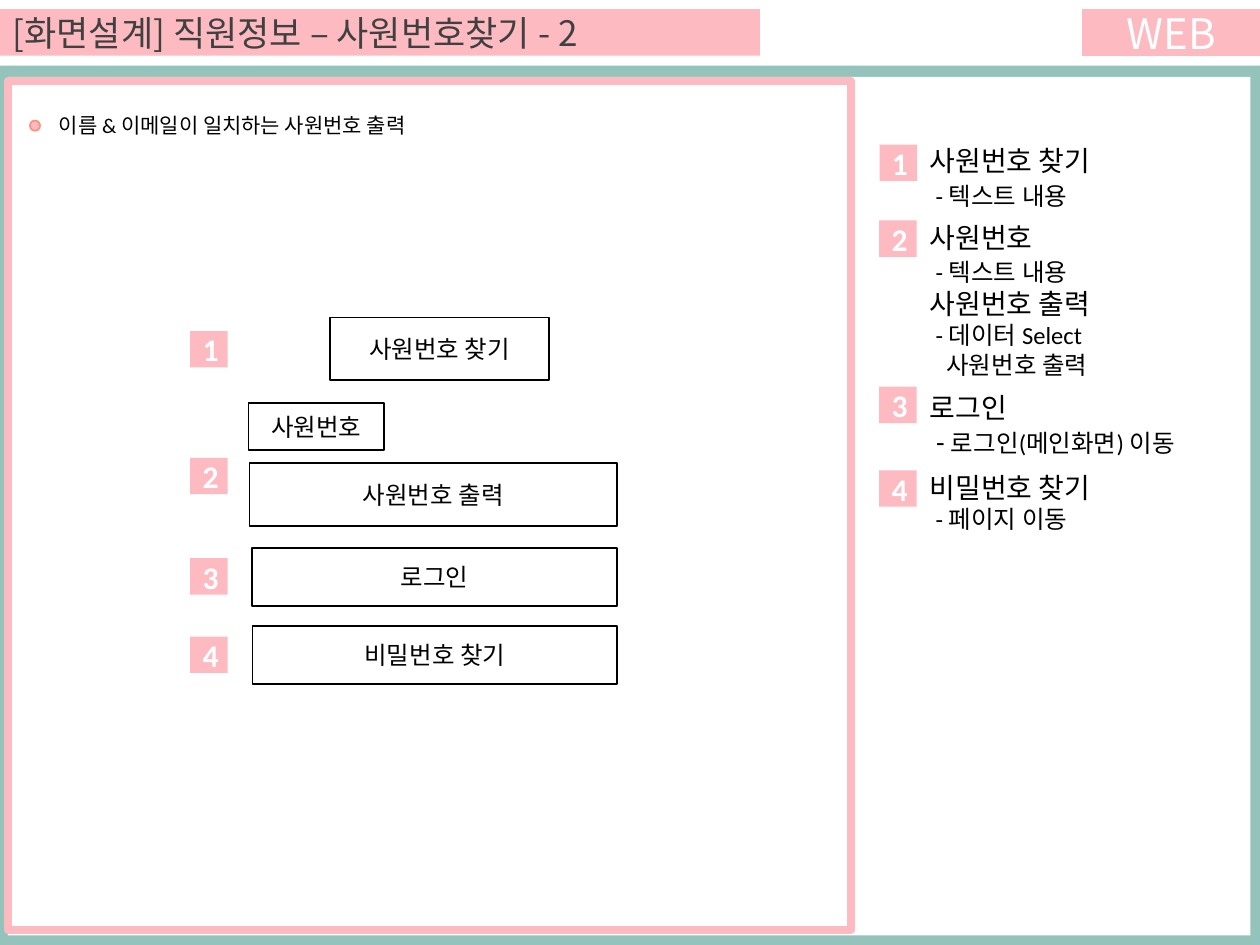
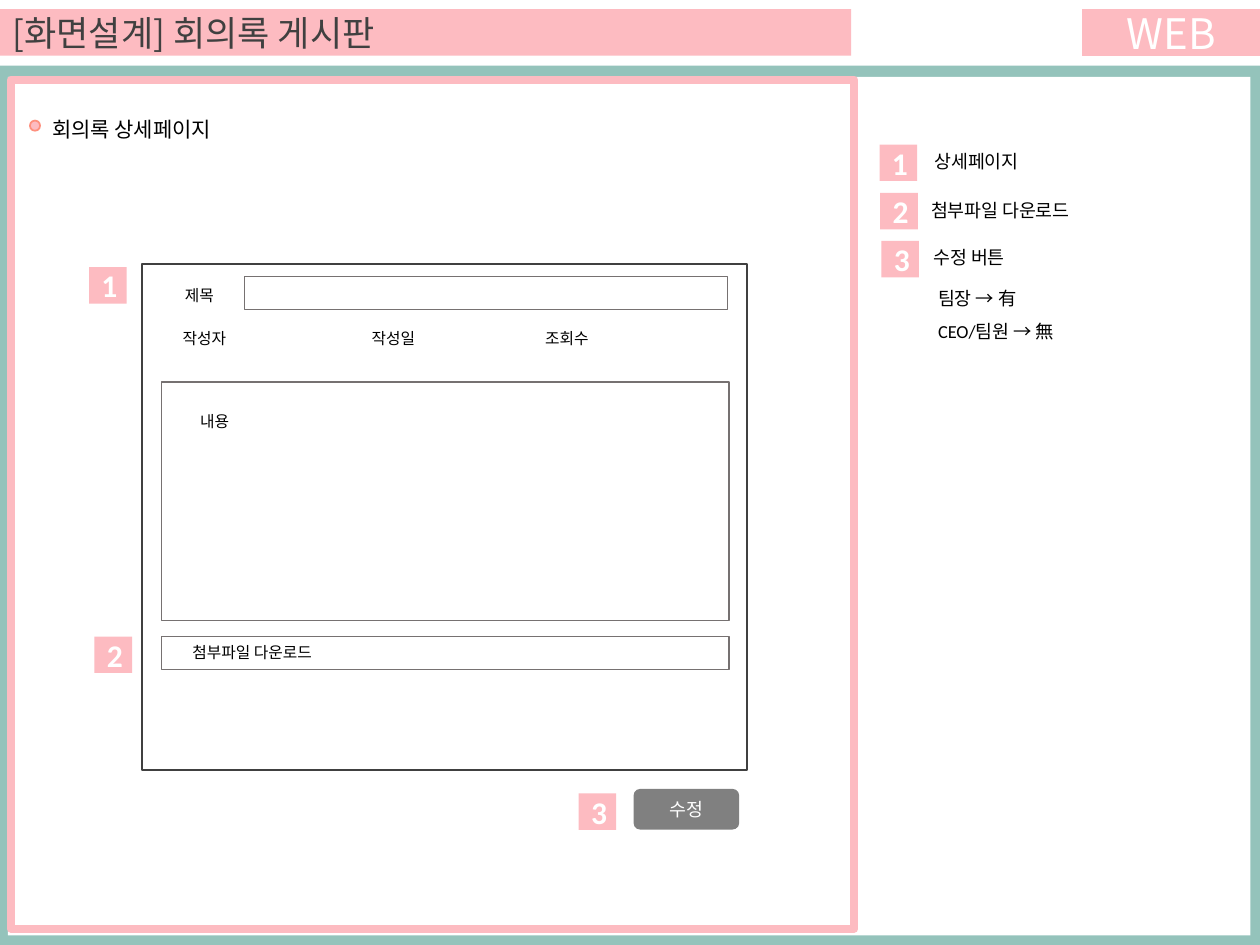
import pptx
import pptx.util
import pptx.dml.color
import pptx.enum.shapes
import pptx.enum.text
import pptx.oxml.ns
from dataclasses import dataclass
from lxml import etree

Pt = pptx.util.Pt
SHAPE = pptx.enum.shapes.MSO_SHAPE
ALIGN = pptx.enum.text.PP_ALIGN
ANCHOR = pptx.enum.text.MSO_ANCHOR
FIT = pptx.enum.text.MSO_AUTO_SIZE


@dataclass(frozen=True)
class Theme:
    pink: str = "FDBBC1"
    coral: str = "FE907E"
    teal: str = "94C3BB"
    white: str = "FFFFFF"
    black: str = "000000"
    dark: str = "404040"
    gray: str = "767171"
    button: str = "808080"
    body_font: str = "Calibri"
    head_font: str = "Noto Sans CJK KR"
    button_font: str = "Arial"
    web: float = 24
    title: float = 20
    badge: float = 18
    heading: float = 16
    detail: float = 14
    caption: float = 12
    note: float = 10.5
    label: float = 9


THEME = Theme()


def line(*spans, size=THEME.heading, indent=0, **layout):
    """One paragraph; a span is a text, or a (text, size) pair."""
    pairs = [span if isinstance(span, tuple) else (span, size) for span in spans]
    return {"spans": pairs, "indent": indent, "layout": layout}


def detail(text, indent=3.4, before=0):
    return line(text, size=THEME.detail, indent=indent, space_before=Pt(before))


# Content: all places are (left, top, width, height) in points
EMPLOYEE = {
    "title": "[화면설계] 직원정보 – 사원번호찾기 - 2",
    "title_width": 434.2,
    "frame": (4.4, 46.2),
    "caption": ("이름 & 이메일이 일치하는 사원번호 출력", 23.8, 60.5),
    "badges": [
        ("1", 108.7, 189.2), ("2", 108.7, 261.6), ("3", 108.7, 319), ("4", 108.7, 363.8),
        ("1", 502.6, 82.6), ("2", 502.4, 126), ("3", 502.4, 221), ("4", 502.4, 268.8),
    ],
    "notes": [
        ((524.2, 78.5, 190.8, 46),
         [line("사원번호 찾기"), detail("- 텍스트 내용", before=2)]),
        ((524.2, 122.2, 190.8, 99.4),
         [line("사원번호"), detail("- 텍스트 내용", before=2), line("사원번호 출력"),
          detail("- 데이터 Select"), detail("사원번호 출력", indent=9.5)]),
        ((524.2, 219.6, 190.8, 46),
         [line("로그인"), line("- ", ("로그인(메인화면) 이동", THEME.detail), indent=3.6)]),
        ((524.2, 265.2, 190.8, 44),
         [line("비밀번호 찾기"), detail("- 페이지 이동")]),
    ],
    "fields": [
        ("사원번호 찾기", (188.5, 181.4, 125.4, 36)),
        ("사원번호", (142, 230.3, 77.5, 27)),
        ("사원번호 출력", (142.6, 264.6, 210, 36)),
        ("로그인", (144, 313.2, 208.5, 33.2)),
        ("비밀번호 찾기", (144.3, 357.5, 208.5, 33.2)),
    ],
}

MINUTES = {
    "title": "[화면설계] 회의록 게시판",
    "title_width": 486.4,
    "frame": (6.5, 45.5),
    "caption": ("회의록 상세페이지", 20, 63.2),
    "badges": [
        ("1", 50.9, 152.7), ("2", 54, 363.8), ("3", 330.7, 453.4),
        ("1", 502.6, 82.6), ("2", 503, 110.3), ("3", 503.7, 137.7),
    ],
    "notes": [
        ((527, 82, 198.7, 20), [line("상세페이지", size=THEME.note)]),
        ((525, 110, 198.7, 20), [line("첨부파일 다운로드", size=THEME.note)]),
        ((526.3, 137.4, 198.7, 20), [line("수정 버튼", size=THEME.note)]),
        ((529, 154, 123, 45),
         [line(text, size=THEME.note, line_spacing=1.5)
          for text in ("팀장 → 有", "CEO/팀원 → 無")]),
    ],
    "outlines": [
        ((81.2, 151, 345.8, 289), THEME.dark, 1),
        ((139.7, 158, 276, 19), THEME.gray, 0.75),
        ((92.3, 218.3, 324.3, 136.2), THEME.gray, 0.75),
        ((92.3, 363.8, 324.3, 18.7), THEME.gray, 0.75),
    ],
    "labels": [
        ("제목", (98.6, 159.8, 32.4, 18)),
        ("작성자", (97.2, 184.5, 43.9, 18)),
        ("작성일", (205.2, 184.5, 41.8, 18)),
        ("조회수", (304.4, 184.5, 41.8, 18)),
        ("내용", (107.2, 231.8, 32.4, 18)),
        ("첨부파일 다운로드", (102.8, 363.6, 89.3, 18)),
    ],
    "button": ("수정", (362, 450.8, 60.4, 23.3)),
}


# Drawing helpers
def put(target, values):
    for name, value in values.items():
        setattr(target, name, value)


def color(code):
    return pptx.dml.color.RGBColor.from_string(code)


def paint(shape, fill=None, stroke=None, width=1):
    if fill:
        shape.fill.solid()
        shape.fill.fore_color.rgb = color(fill)
    else:
        shape.fill.background()
    if stroke:
        shape.line.color.rgb = color(stroke)
        shape.line.width = Pt(width)
    else:
        shape.line.fill.background()


def write(shape, lines, tint=THEME.black, font=THEME.body_font, bold=False,
          align=ALIGN.LEFT, **frame_values):
    frame = shape.text_frame
    put(frame, {"word_wrap": True, **frame_values})
    for index, item in enumerate(lines):
        para = frame.add_paragraph() if index else frame.paragraphs[0]
        put(para, {"alignment": align, **item["layout"]})
        if item["indent"]:
            para._p.get_or_add_pPr().set("marL", str(Pt(item["indent"])))
        for text, size in item["spans"]:
            span = para.add_run()
            span.text = text
            span.font.color.rgb = color(tint)
            put(span.font, {"size": Pt(size), "name": font, "bold": bold})
            etree.SubElement(span._r.get_or_add_rPr(), pptx.oxml.ns.qn("a:ea"),
                             typeface=THEME.head_font)


def add_box(page, place, kind=SHAPE.RECTANGLE, **look):
    shape = page.shapes.add_shape(kind, *map(Pt, place))
    shape.shadow.inherit = False
    paint(shape, **look)
    return shape


def add_text(page, place, lines, wrap=True):
    box = page.shapes.add_textbox(*map(Pt, place))
    write(box, lines, word_wrap=wrap, auto_size=FIT.SHAPE_TO_FIT_TEXT)


def add_badge(page, number, left, top):
    badge = add_box(page, (left, top, 21.5, 20.8), fill=THEME.pink)
    write(badge, [line(number, size=THEME.badge)], tint=THEME.white, bold=True,
          align=ALIGN.CENTER)


def add_page(deck, content):
    """Title band, teal border, pink frame, caption, badges and side notes."""
    page = deck.slides.add_slide(deck.slide_layouts[5])
    title = page.shapes.title
    put(title, {"left": Pt(0), "top": Pt(5.2),
                "width": Pt(content["title_width"]), "height": Pt(26.6)})
    paint(title, fill=THEME.pink)
    write(title, [line(content["title"], size=THEME.title)], tint=THEME.dark,
          font=THEME.head_font, vertical_anchor=ANCHOR.MIDDLE, auto_size=FIT.NONE)

    add_box(page, (0, 37.6, 720, 502.4), fill=THEME.teal)
    add_box(page, (4.5, 44, 710, 490.5), fill=THEME.white)
    add_box(page, (*content["frame"], 481.7, 485.3), stroke=THEME.pink, width=4.5)
    add_box(page, (17.1, 68.9, 5.8, 5.8), SHAPE.OVAL, fill=THEME.pink, stroke=THEME.coral)
    web = add_box(page, (618.4, 5.2, 101.6, 26.8), fill=THEME.pink)
    write(web, [line("WEB", size=THEME.web)], tint=THEME.white, font=THEME.head_font,
          align=ALIGN.CENTER)

    text, left, top = content["caption"]
    add_text(page, (left, top, 278, 21.8), [line(text, size=THEME.caption, indent=2.7)])
    for badge in content["badges"]:
        add_badge(page, *badge)
    for place, lines in content["notes"]:
        add_text(page, place, lines)
    return page


def main():
    deck = pptx.Presentation()
    put(deck, {"slide_width": Pt(720), "slide_height": Pt(540)})

    # Employee number lookup
    page = add_page(deck, EMPLOYEE)
    for text, place in EMPLOYEE["fields"]:
        field = add_box(page, place, fill=THEME.white, stroke=THEME.black)
        write(field, [line(text, size=THEME.detail)], align=ALIGN.CENTER)

    # Meeting minutes detail
    page = add_page(deck, MINUTES)
    for place, stroke, width in MINUTES["outlines"]:
        add_box(page, place, stroke=stroke, width=width)
    for text, place in MINUTES["labels"]:
        add_text(page, place, [line(text, size=THEME.label)], wrap=False)
    text, place = MINUTES["button"]
    button = add_box(page, place, SHAPE.ROUNDED_RECTANGLE, fill=THEME.button)
    write(button, [line(text, size=THEME.note)], tint=THEME.white,
          font=THEME.button_font, align=ALIGN.CENTER)

    deck.save("out.pptx")


if __name__ == "__main__":
    main()
